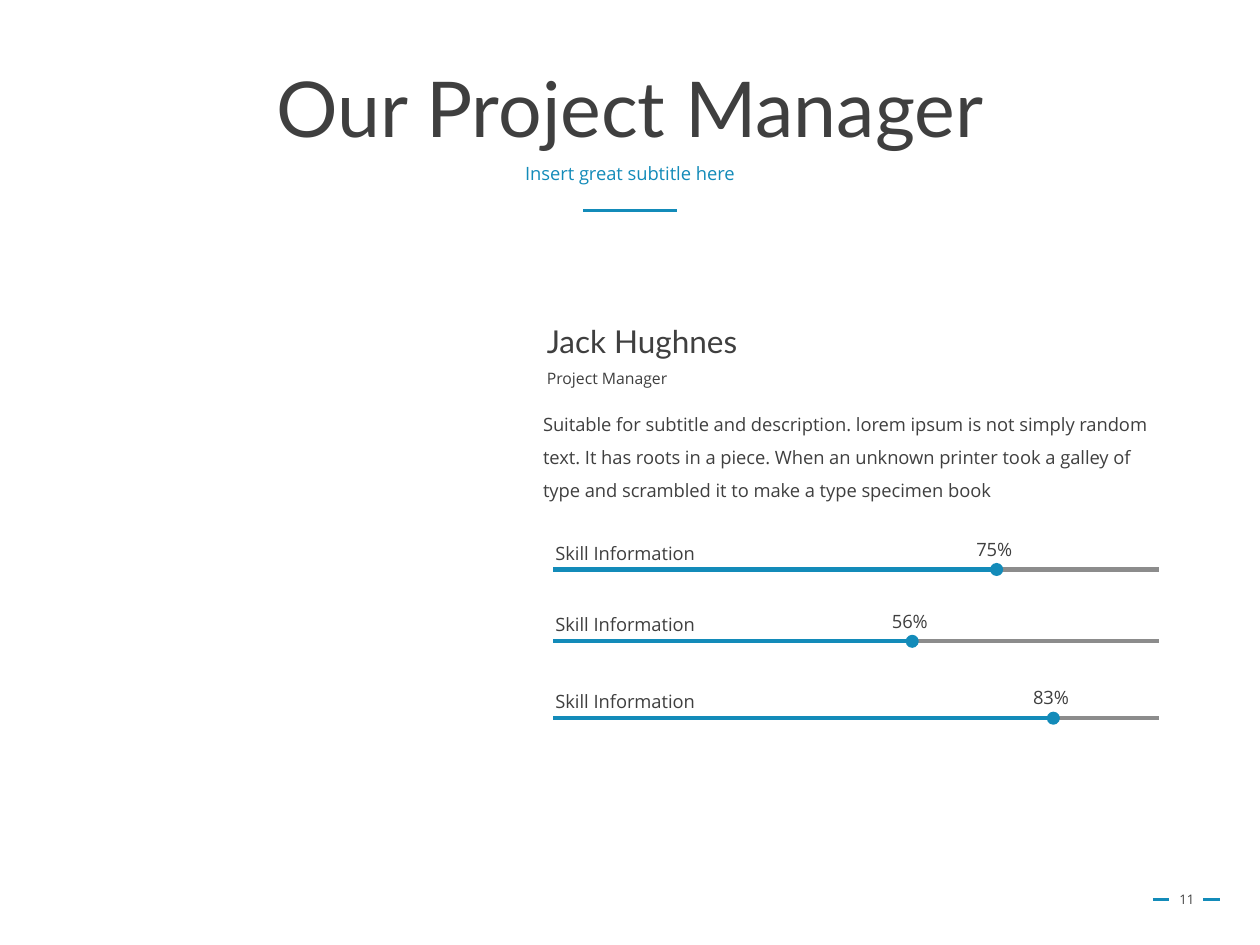
"""Build a project manager profile slide with skill bars."""
from dataclasses import dataclass

from lxml import etree
from pptx import Presentation
from pptx.dml.color import RGBColor
from pptx.enum.shapes import MSO_CONNECTOR
from pptx.enum.text import MSO_ANCHOR, MSO_AUTO_SIZE, PP_ALIGN
from pptx.oxml.ns import qn
from pptx.util import Inches, Pt

STRAIGHT = MSO_CONNECTOR.STRAIGHT
TOP, MIDDLE = MSO_ANCHOR.TOP, MSO_ANCHOR.MIDDLE
LEFT, CENTER = PP_ALIGN.LEFT, PP_ALIGN.CENTER
FIT_SHAPE, FIT_NONE = MSO_AUTO_SIZE.SHAPE_TO_FIT_TEXT, MSO_AUTO_SIZE.NONE

BLUE = RGBColor(0x13, 0x8B, 0xB9)
GRAY = RGBColor(0x8C, 0x8C, 0x8C)
DARK = RGBColor(0x3F, 0x3F, 0x3F)
HEADING_FONT = "Lato"
BODY_FONT = "Open Sans"

TEXT_LEFT = 4.31
BAR_LEFT = 4.39
BAR_RIGHT = 9.2


@dataclass(frozen=True)
class Skill:
    label: str
    percent: str
    y: float
    marker_x: float


@dataclass(frozen=True)
class Accent:
    left: float
    right: float
    y: float


SKILLS = [
    Skill("Skill Information", "75%", 4.52, 7.91),
    Skill("Skill Information", "56%", 5.09, 7.24),
    Skill("Skill Information", "83%", 5.7, 8.36),
]
ACCENTS = [
    Accent(4.63, 5.37, 1.67),
    Accent(9.15, 9.28, 7.14),
    Accent(9.55, 9.68, 7.14),
]


def add_text(slide, text: str, left: float, top: float, width: float, height: float, *,
             size: float = 10.5, font: str = BODY_FONT, color: RGBColor = DARK,
             align=LEFT, anchor=TOP, spacing: float = 1.0, wrap: bool = True,
             grow: bool = False, inset: tuple[float, float] = (0.1, 0.05)) -> None:
    shape = slide.shapes.add_textbox(Inches(left), Inches(top), Inches(width), Inches(height))
    frame = shape.text_frame
    frame.word_wrap = wrap
    frame.auto_size = FIT_SHAPE if grow else FIT_NONE
    frame.vertical_anchor = anchor
    frame.margin_left = frame.margin_right = Inches(inset[0])
    frame.margin_top = frame.margin_bottom = Inches(inset[1])
    paragraph = frame.paragraphs[0]
    paragraph.alignment = align
    paragraph.line_spacing = spacing
    run = paragraph.add_run()
    run.text = text
    run.font.size = Pt(size)
    run.font.name = font
    run.font.color.rgb = color


def add_line(slide, left: float, right: float, y: float, color: RGBColor,
             weight: float, dot: bool = False) -> None:
    connector = slide.shapes.add_connector(
        STRAIGHT, Inches(left), Inches(y), Inches(right), Inches(y))
    connector.line.color.rgb = color
    connector.line.width = Pt(weight)
    properties = connector._element.spPr
    if dot:
        etree.SubElement(properties.find(qn("a:ln")), qn("a:tailEnd"), type="oval")
    etree.SubElement(properties, qn("a:effectLst"))


def add_skill(slide, skill: Skill) -> None:
    add_line(slide, BAR_LEFT, BAR_RIGHT, skill.y, GRAY, 2.5)
    add_line(slide, BAR_LEFT, skill.marker_x, skill.y, BLUE, 2.5, dot=True)
    add_text(slide, skill.label, TEXT_LEFT, skill.y - 0.27, 1.33, 0.28, wrap=False, grow=True)
    add_text(slide, skill.percent, skill.marker_x - 0.26, skill.y - 0.3, 0.49, 0.28,
             wrap=False, grow=True)


def main() -> None:
    presentation = Presentation()
    presentation.slide_width = Inches(10)
    presentation.slide_height = Inches(7.5)
    slide = presentation.slides.add_slide(presentation.slide_layouts[6])

    for accent in ACCENTS:
        add_line(slide, accent.left, accent.right, accent.y, BLUE, 1.75)

    add_text(slide, "Our Project Manager", 0.69, 0.4, 8.62, 0.98, size=44,
             font=HEADING_FONT, align=CENTER, anchor=MIDDLE, spacing=0.9)
    add_text(slide, "Insert great subtitle here", 0.69, 1.26, 8.62, 0.4,
             color=BLUE, align=CENTER, spacing=0.9)
    add_text(slide, "11", 9.2, 6.94, 0.44, 0.4, size=7.5, align=CENTER, anchor=MIDDLE)

    add_text(slide, "Jack Hughnes", TEXT_LEFT, 2.56, 1.59, 0.33, size=18, font=HEADING_FONT,
             anchor=MIDDLE, spacing=0.9, wrap=False, grow=True, inset=(0.03, 0.03))
    add_text(slide, "Project Manager", TEXT_LEFT, 2.87, 1.02, 0.24, size=9,
             anchor=MIDDLE, spacing=1.2, wrap=False, grow=True, inset=(0.03, 0.03))
    add_text(slide, "Suitable for subtitle and description. lorem ipsum is not simply random "
             "text. It has roots in a piece. When an unknown printer took a galley of type "
             "and scrambled it to make a type specimen book",
             TEXT_LEFT, 3.19, 4.85, 0.8, spacing=1.5, grow=True, inset=(0, 0))

    for skill in SKILLS:
        add_skill(slide, skill)

    presentation.save("out.pptx")


main()
